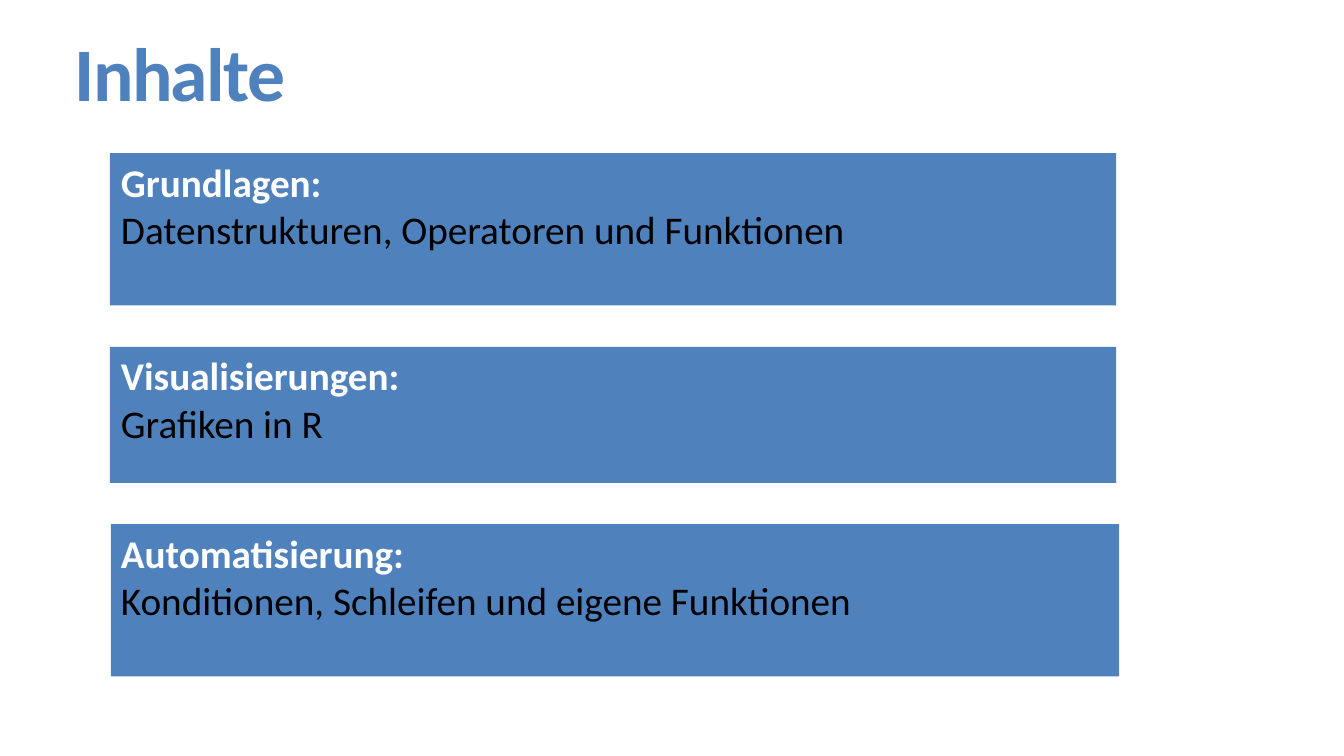
import pptx
import pptx.util
import pptx.dml.color
import pptx.enum.shapes
import pptx.enum.text

Inches = pptx.util.Inches
Pt = pptx.util.Pt
ANCHOR = pptx.enum.text.MSO_ANCHOR
LEFT = pptx.enum.text.PP_ALIGN.LEFT
COLORS = {"blue": "4F81BD", "white": "FFFFFF", "black": "000000"}
GAP = 0.41
EDGE = 1.2  # where the text of every box starts


def color(name):
    return pptx.dml.color.RGBColor.from_string(COLORS[name])


def write(par, text, tone, form):
    """Fill a paragraph with one run in the given tone and font format."""
    par.alignment = LEFT
    run = par.add_run()
    run.text = text
    for key, value in form.items():
        setattr(run.font, key, value)
    run.font.color.rgb = color(tone)
    return run


deck = pptx.Presentation()
deck.slide_width, deck.slide_height = Inches(13.33), Inches(7.5)
slide = deck.slides.add_slide(deck.slide_layouts[5])

# Title
title = slide.shapes.title
place = {"left": 0.64, "top": 0.24, "width": 11.78, "height": 1.07}
for key, value in place.items():
    setattr(title, key, Inches(value))
frame = title.text_frame
frame.auto_size = pptx.enum.text.MSO_AUTO_SIZE.NONE
frame.vertical_anchor = ANCHOR.MIDDLE
head = frame.paragraphs[0]
head.line_spacing = 0.85
run = write(head, "Inhalte", "blue",
            {"name": "Calibri", "size": Pt(54), "bold": True})
run.font._element.set("spc", "-120")

# Topic boxes, stacked with an equal gap: left, width, height, topic, detail
topics = [
    (1.09, 9.98, 1.51, "Grundlagen:",
     "Datenstrukturen, Operatoren und Funktionen"),
    (1.09, 9.98, 1.35, "Visualisierungen:", "Grafiken in R"),
    (1.1, 10, 1.51, "Automatisierung:",
     "Konditionen, Schleifen und eigene Funktionen"),
]
form = {"name": "Calibri", "size": Pt(28)}
top = 1.52
for left, width, height, topic, detail in topics:
    box = slide.shapes.add_shape(
        pptx.enum.shapes.MSO_SHAPE.RECTANGLE,
        Inches(left), Inches(top), Inches(width), Inches(height))
    box.shadow.inherit = False
    box.fill.solid()
    box.fill.fore_color.rgb = color("blue")
    box.line.fill.background()
    frame = box.text_frame
    frame.word_wrap = True
    frame.vertical_anchor = ANCHOR.TOP
    frame.margin_left = Inches(EDGE - left)
    write(frame.paragraphs[0], topic, "white", {**form, "bold": True})
    write(frame.add_paragraph(), detail, "black", {**form, "bold": False})
    top += height + GAP

deck.save("out.pptx")
